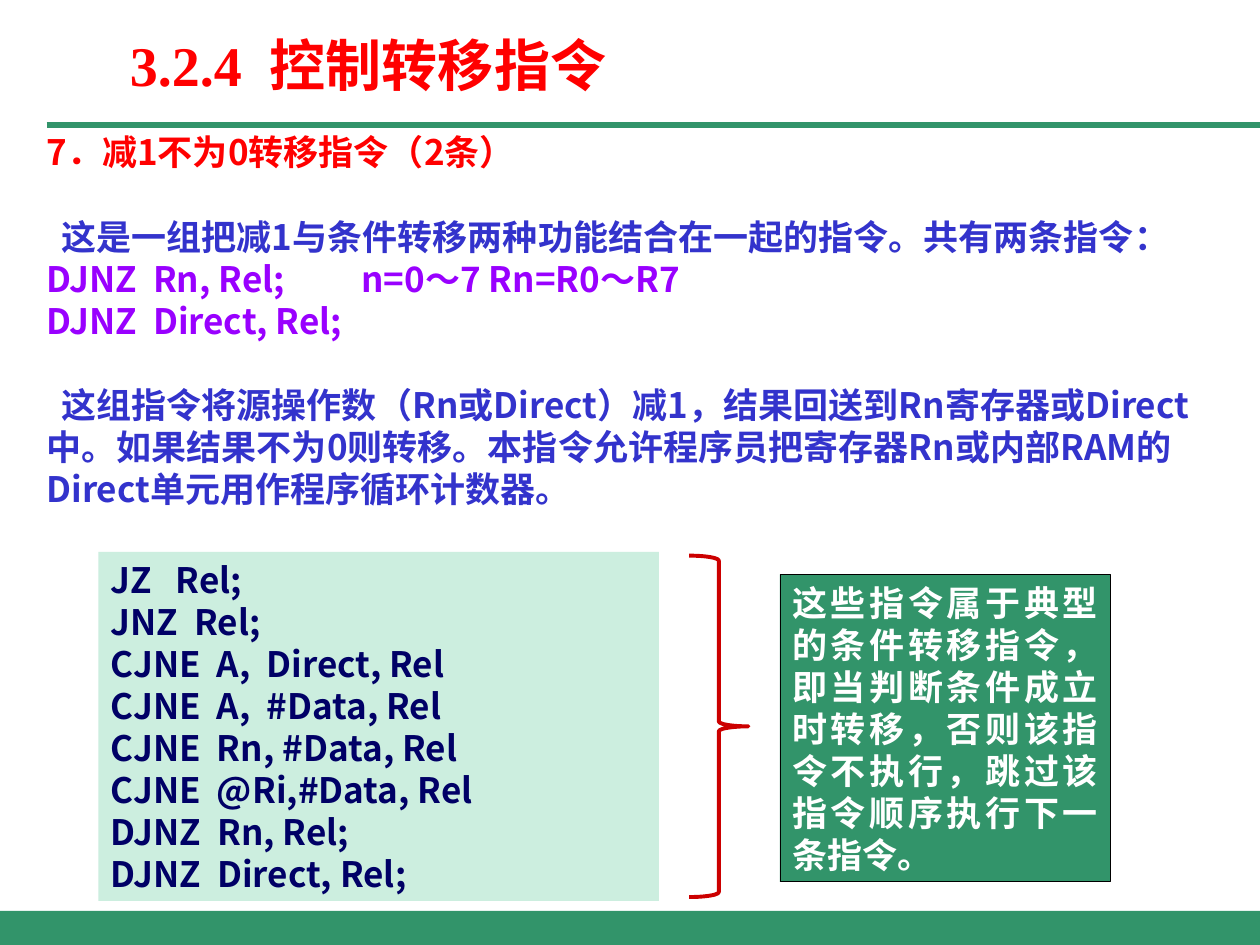
from dataclasses import dataclass
from typing import Optional

from lxml.etree import SubElement
from pptx import Presentation
from pptx.dml.color import RGBColor
from pptx.enum.shapes import MSO_CONNECTOR as Connector, MSO_SHAPE as Shape
from pptx.enum.text import MSO_ANCHOR as Anchor, PP_ALIGN as Align
from pptx.oxml.ns import qn
from pptx.util import Inches, Pt

GREEN = RGBColor(0x32, 0x94, 0x6A)
MINT = RGBColor(0xCC, 0xEE, 0xDF)
RED = RGBColor(0xFF, 0x00, 0x00)
DARK_RED = RGBColor(0xCC, 0x00, 0x00)
BLUE = RGBColor(0x33, 0x33, 0xCC)
PURPLE = RGBColor(0x99, 0x00, 0xFF)
NAVY = RGBColor(0x00, 0x00, 0x66)
BLACK = RGBColor(0x00, 0x00, 0x00)
WHITE = RGBColor(0xFF, 0xFF, 0xFF)

CJK_FONT = "Noto Sans CJK SC"
LINE_HEIGHT = Pt(24)


@dataclass
class Line:
    text: str
    color: RGBColor
    gap: bool = False  # one line of space above
    indent: float = 0
    align: Align = Align.LEFT


@dataclass
class Panel:
    kind: Shape
    box: tuple[float, float, float, float]
    fill: Optional[RGBColor] = None
    border: Optional[RGBColor] = None
    border_width: float = 0.5


def add_panel(slide, panel: Panel):
    shape = slide.shapes.add_shape(panel.kind, *map(Inches, panel.box))
    shape.shadow.inherit = False
    if panel.fill is None:
        shape.fill.background()
    else:
        shape.fill.solid()
        shape.fill.fore_color.rgb = panel.fill
    if panel.border is None:
        shape.line.fill.background()
    else:
        shape.line.color.rgb = panel.border
        shape.line.width = Pt(panel.border_width)
    return shape


def set_frame(shape, anchor: Anchor, vertical_inset: float = 0.05) -> None:
    frame_format = {
        "word_wrap": True, "vertical_anchor": anchor,
        "margin_left": Inches(0.1), "margin_right": Inches(0.1),
        "margin_top": Inches(vertical_inset), "margin_bottom": Inches(vertical_inset),
    }
    for name, value in frame_format.items():
        setattr(shape.text_frame, name, value)


def add_run(paragraph, text: str, color: RGBColor, size: int = 20, font: str = CJK_FONT) -> None:
    run = paragraph.add_run()
    run.text = text
    for name, value in {"name": font, "size": Pt(size), "bold": True}.items():
        setattr(run.font, name, value)
    run.font.color.rgb = color
    SubElement(run._r.get_or_add_rPr(), qn("a:ea"), typeface=CJK_FONT)


def write_lines(shape, lines: list[Line], anchor: Anchor = Anchor.TOP) -> None:
    set_frame(shape, anchor)
    frame = shape.text_frame
    for index, line in enumerate(lines):
        paragraph = frame.add_paragraph() if index else frame.paragraphs[0]
        paragraph.alignment = line.align
        paragraph.line_spacing = LINE_HEIGHT
        paragraph.space_before = LINE_HEIGHT if line.gap else Pt(0)
        if line.indent:
            paragraph._p.get_or_add_pPr().set("indent", str(Inches(line.indent)))
        add_run(paragraph, line.text, line.color)


INTRODUCTION = [
    Line("7．减1不为0转移指令（2条）", RED),
    Line("这是一组把减1与条件转移两种功能结合在一起的指令。共有两条指令：", BLUE, gap=True, indent=0.12),
    Line("DJNZ  Rn, Rel;\t\tn=0～7 Rn=R0～R7", PURPLE),
    Line("DJNZ  Direct, Rel;", PURPLE),
    Line("这组指令将源操作数（Rn或Direct）减1，结果回送到Rn寄存器或Direct中。"
         "如果结果不为0则转移。本指令允许程序员把寄存器Rn或内部RAM的Direct单元用作程序循环计数器。",
         BLUE, gap=True, indent=0.12),
]
INSTRUCTIONS = [
    "JZ   Rel;",
    "JNZ  Rel;",
    "CJNE  A,  Direct, Rel",
    "CJNE  A,  #Data, Rel",
    "CJNE  Rn, #Data, Rel",
    "CJNE  @Ri,#Data, Rel",
    "DJNZ  Rn, Rel;",
    "DJNZ  Direct, Rel;",
]
SUMMARY = ("这些指令属于典型的条件转移指令，即当判断条件成立时转移，"
           "否则该指令不执行，跳过该指令顺序执行下一条指令。")


def main() -> None:
    presentation = Presentation()
    presentation.slide_width = Inches(10)
    presentation.slide_height = Inches(7.5)
    slide = presentation.slides.add_slide(presentation.slide_layouts[5])

    # Footer band and rule under the title
    add_panel(slide, Panel(Shape.RECTANGLE, (0, 7.23, 10, 0.27), GREEN))
    rule = slide.shapes.add_connector(
        Connector.STRAIGHT, Inches(0.37), Inches(0.99), Inches(10), Inches(0.99))
    rule.line.color.rgb = GREEN
    rule.line.width = Pt(3.5)
    SubElement(rule._element.spPr, qn("a:effectLst"))

    # Title
    title = slide.shapes.title
    title.left, title.top, title.width, title.height = map(Inches, (0.93, 0.06, 4.31, 0.89))
    set_frame(title, Anchor.MIDDLE, vertical_inset=0.18)
    heading = title.text_frame.paragraphs[0]
    heading.alignment = Align.LEFT
    add_run(heading, "3.2.4  控制转移指令", RED, size=32, font="Times New Roman")

    # Introduction
    introduction = slide.shapes.add_textbox(*map(Inches, (0.27, 0.99, 9.45, 3.1)))
    write_lines(introduction, INTRODUCTION)

    # Instruction list, brace and summary
    listing = add_panel(slide, Panel(Shape.RECTANGLE, (0.78, 4.38, 4.45, 2.77), MINT))
    write_lines(listing, [Line(text, NAVY) for text in INSTRUCTIONS])
    add_panel(slide, Panel(Shape.RIGHT_BRACE, (5.47, 4.41, 0.47, 2.71),
                           border=DARK_RED, border_width=2.25))
    summary = add_panel(slide, Panel(Shape.RECTANGLE, (6.19, 4.56, 2.62, 2.44), GREEN, BLACK))
    write_lines(summary, [Line(SUMMARY, WHITE, align=Align.JUSTIFY)], Anchor.MIDDLE)

    presentation.save("out.pptx")


if __name__ == "__main__":
    main()
